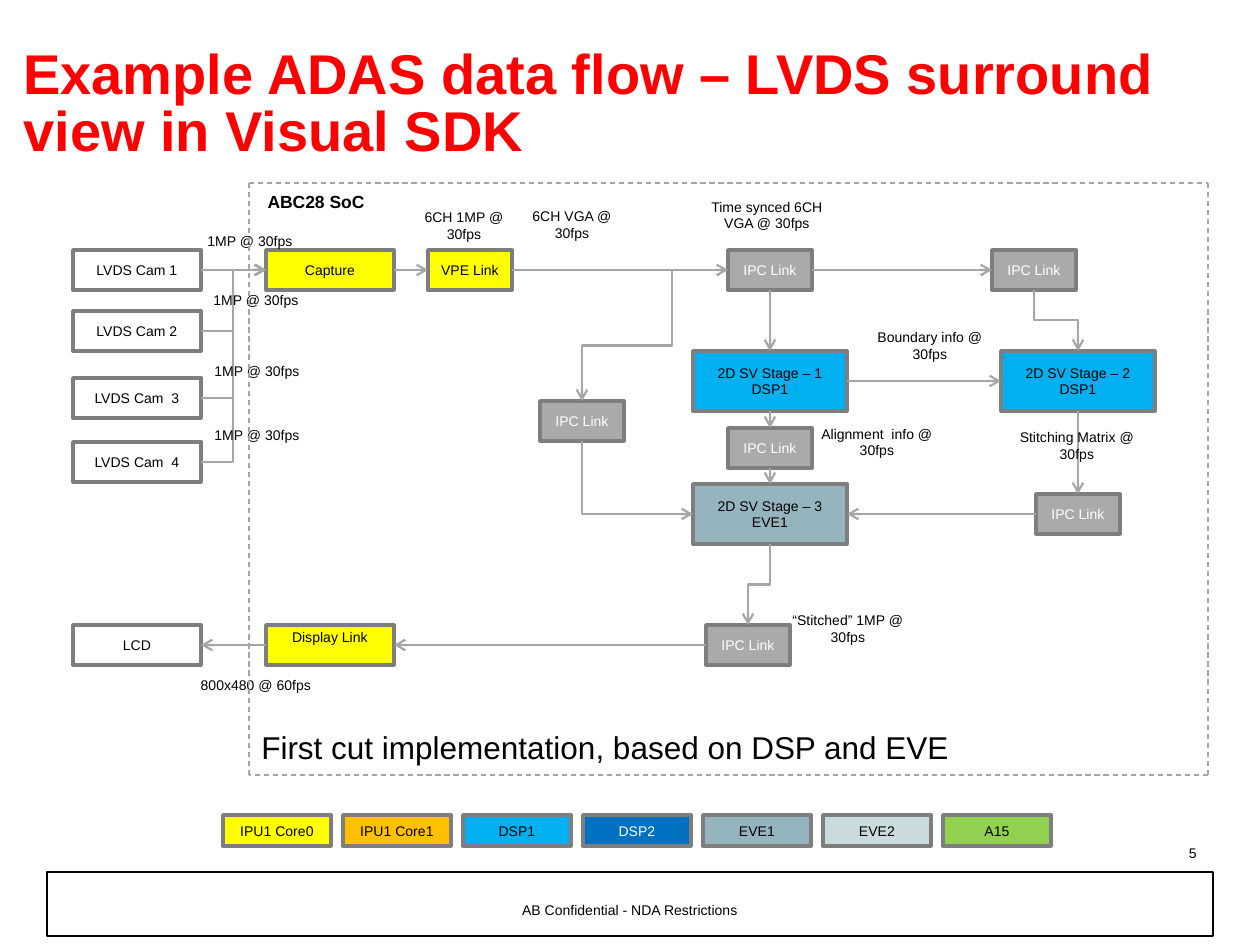
import pptx
import pptx.dml.color
import pptx.enum.dml
import pptx.enum.shapes
import pptx.enum.text
import pptx.oxml
import pptx.oxml.ns
import pptx.util

PX = 914400 // 126
ALIGN = pptx.enum.text.PP_ALIGN
ANCHOR = pptx.enum.text.MSO_ANCHOR
CONNECTOR = pptx.enum.shapes.MSO_CONNECTOR
TOP, LEFT, BOTTOM, RIGHT = range(4)
BLACK, WHITE, RED = "000000", "FFFFFF", "FF0000"
YELLOW, CYAN, SLATE, GRAY = "FFFF00", "00B0F0", "96B4BE", "AAAAAA"
BORDER, WIRE = "7E7E7E", "A6A6A6"
BOX_HEIGHT = 40


def px(*lengths):
    return [pptx.util.Emu(length * PX) for length in lengths]


def rgb(color):
    return pptx.dml.color.RGBColor.from_string(color)


def write(shape, text, size, color=BLACK, bold=False, align=ALIGN.CENTER,
          anchor=ANCHOR.MIDDLE, spacing=None):
    frame = shape.text_frame
    frame.word_wrap = True
    frame.vertical_anchor = anchor
    frame.text = text
    for paragraph in frame.paragraphs:
        paragraph.alignment = align
        paragraph.line_spacing = spacing
        paragraph.font.name = "Arial"
        paragraph.font.size = pptx.util.Pt(size)
        paragraph.font.bold = bold
        paragraph.font.color.rgb = rgb(color)


def add_text(slide, left, top, width, height, text, size, **style):
    shape = slide.shapes.add_textbox(*px(left, top, width, height))
    write(shape, text, size, **style)
    return shape


def add_label(slide, center, top, text, width=128, height=17, size=8, bold=False):
    """Caption without insets, centred on a given x."""
    shape = add_text(slide, center - width // 2, top, width, height, text, size, bold=bold)
    frame = shape.text_frame
    frame.margin_left = frame.margin_right = frame.margin_top = frame.margin_bottom = 0


def add_box(slide, left, top, width, height, text, fill, color=BLACK):
    shape = slide.shapes.add_shape(
        pptx.enum.shapes.MSO_SHAPE.RECTANGLE, *px(left, top, width, height))
    shape.shadow.inherit = False
    shape.fill.solid()
    shape.fill.fore_color.rgb = rgb(fill)
    shape.line.color.rgb = rgb(BORDER)
    shape.line.width = pptx.util.Pt(2)
    shape.text_frame.margin_left = shape.text_frame.margin_right = 0
    write(shape, text, 8, color)
    return shape


def add_ipc(slide, left, top):
    return add_box(slide, left, top, 84, BOX_HEIGHT, "IPC Link", GRAY, WHITE)


def add_stage(slide, left, top, text, fill):
    return add_box(slide, left, top, 154, 60, text, fill)


def add_device(slide, left, top, text, fill=WHITE):
    return add_box(slide, left, top, 128, BOX_HEIGHT, text, fill)


def site(shape, side):
    """Middle of one side of a box."""
    x = shape.left + {LEFT: 0, RIGHT: shape.width}.get(side, shape.width // 2)
    y = shape.top + {TOP: 0, BOTTOM: shape.height}.get(side, shape.height // 2)
    return x, y


def add_wire(slide, kind, start, end, width=1.25, arrow=True):
    connector = slide.shapes.add_connector(kind, *start, *end)
    connector.line.color.rgb = rgb(WIRE)
    connector.line.width = pptx.util.Pt(width)
    if arrow:
        line = connector.line._get_or_add_ln()
        line.append(pptx.oxml.parse_xml(
            f'<a:tailEnd {pptx.oxml.ns.nsdecls("a")} type="arrow"/>'))
    connector.element.spPr.append(pptx.oxml.parse_xml(
        f'<a:effectLst {pptx.oxml.ns.nsdecls("a")}/>'))
    return connector


def add_arrow(slide, source, source_side, target, target_side):
    arrow = add_wire(slide, CONNECTOR.STRAIGHT,
                     site(source, source_side), site(target, target_side))
    arrow.begin_connect(source, source_side)
    arrow.end_connect(target, target_side)


def set_preset(connector, preset, adjustments=()):
    geometry = connector.element.spPr.find(pptx.oxml.ns.qn("a:prstGeom"))
    geometry.set("prst", preset)
    guides = geometry.get_or_add_avLst()
    for number, value in enumerate(adjustments, 1):
        guides.append(pptx.oxml.parse_xml(
            f'<a:gd {pptx.oxml.ns.nsdecls("a")} name="adj{number}" fmla="val {value}"/>'))


def add_downward_elbow(slide, start, end, preset="bentConnector3"):
    """Elbow that leaves downwards: a turned connector with swapped sides."""
    connector = add_wire(slide, CONNECTOR.ELBOW, start, end)
    set_preset(connector, preset)
    run, drop = abs(end[0] - start[0]), end[1] - start[1]
    connector.left = (start[0] + end[0] - drop) // 2
    connector.top = (start[1] + end[1] - run) // 2
    connector.width, connector.height = drop, run
    to_right = end[0] > start[0]
    transform = connector.element.spPr.xfrm
    transform.set("rot", str((270 if to_right else 90) * 60000))
    transform.set("flipH", "1" if to_right else "0")


def add_page_text(slide):
    add_text(slide, 11, 15, 1201, 181,
             "Example ADAS data flow – LVDS surround view in Visual SDK", 32,
             color=RED, bold=True, align=ALIGN.LEFT, spacing=0.85)
    add_text(slide, 249, 722, 963, 50, "First cut implementation, based on DSP and EVE",
             18, align=ALIGN.LEFT, anchor=ANCHOR.TOP)
    add_text(slide, 915, 838, 294, 29, "5", 8, align=ALIGN.RIGHT, anchor=ANCHOR.TOP)
    footer = slide.shapes.add_shape(
        pptx.enum.shapes.MSO_SHAPE.RECTANGLE, *px(47, 872, 1166, 64))
    footer.shadow.inherit = False
    footer.fill.background()
    footer.line.color.rgb = rgb(BLACK)
    footer.line.width = pptx.util.Pt(0.75)
    add_text(slide, 344, 895, 572, 34, "AB Confidential - NDA Restrictions", 8,
             anchor=ANCHOR.TOP)


def add_flow(slide):
    # Devices and processing links
    cameras = [add_device(slide, 73, top, text) for top, text in (
        (250, "LVDS Cam 1"), (311, "LVDS Cam 2"), (378, "LVDS Cam  3"), (442, "LVDS Cam  4"))]
    capture = add_device(slide, 266, 250, "Capture", YELLOW)
    vpe = add_box(slide, 428, 250, 84, BOX_HEIGHT, "VPE Link", YELLOW)
    lcd = add_device(slide, 73, 625, "LCD")
    display = add_device(slide, 266, 625, "Display Link", YELLOW)
    display.text_frame.margin_top, display.text_frame.margin_bottom = px(0, 16)
    stage1 = add_stage(slide, 693, 351, "2D SV Stage – 1\nDSP1", CYAN)
    stage2 = add_stage(slide, 1001, 351, "2D SV Stage – 2\nDSP1", CYAN)
    stage3 = add_stage(slide, 693, 484, "2D SV Stage – 3\nEVE1", SLATE)
    ipc_sync, ipc_stage2, ipc_vga, ipc_align, ipc_matrix, ipc_out = [
        add_ipc(slide, left, top) for left, top in (
            (728, 250), (992, 250), (540, 401), (728, 428), (1036, 494), (706, 625))]

    # Straight arrows
    for ends in (
            (cameras[0], RIGHT, capture, LEFT), (capture, RIGHT, vpe, LEFT),
            (vpe, RIGHT, ipc_sync, LEFT), (ipc_sync, RIGHT, ipc_stage2, LEFT),
            (ipc_sync, BOTTOM, stage1, TOP), (stage1, RIGHT, stage2, LEFT),
            (stage1, BOTTOM, ipc_align, TOP), (ipc_align, BOTTOM, stage3, TOP),
            (stage2, BOTTOM, ipc_matrix, TOP), (ipc_matrix, LEFT, stage3, RIGHT),
            (ipc_out, LEFT, display, RIGHT), (display, LEFT, lcd, RIGHT)):
        add_arrow(slide, *ends)

    # Elbow arrows
    for camera in cameras[1:]:
        add_wire(slide, CONNECTOR.ELBOW, site(camera, RIGHT), site(capture, LEFT))
    branch = add_wire(slide, CONNECTOR.ELBOW, px(641, 270), site(ipc_vga, TOP))
    set_preset(branch, "bentConnector4", (-53300, 57700))
    add_downward_elbow(slide, site(ipc_vga, BOTTOM), site(stage3, LEFT), "bentConnector2")
    add_downward_elbow(slide, site(ipc_stage2, BOTTOM), site(stage2, TOP))
    add_downward_elbow(slide, site(stage3, BOTTOM), site(ipc_out, TOP))


def add_labels(slide):
    for center, top in ((250, 232), (256, 291), (257, 362), (257, 426)):
        add_label(slide, center, top, "1MP @ 30fps")
    add_label(slide, 256, 676, "800x480 @ 60fps")
    add_label(slide, 316, 191, "ABC28 SoC", height=21, size=10, bold=True)
    for center, top, text, width in (
            (464, 208, "6CH 1MP @ 30fps", 108), (572, 207, "6CH VGA @ 30fps", 108),
            (767, 198, "Time synced 6CH VGA @ 30fps", 128),
            (930, 328, "Boundary info @ 30fps", 128),
            (877, 425, "Alignment  info @ 30fps", 128),
            (1077, 428, "Stitching Matrix @ 30fps", 128),
            (848, 611, "“Stitched” 1MP @ 30fps", 128)):
        add_label(slide, center, top, text, width, 34)


def add_legend(slide):
    cores = (("IPU1 Core0", YELLOW, BLACK), ("IPU1 Core1", "FFC000", BLACK),
             ("DSP1", CYAN, BLACK), ("DSP2", "0070C0", WHITE), ("EVE1", SLATE, BLACK),
             ("EVE2", "C9DBDD", BLACK), ("A15", "92D050", BLACK))
    for index, (text, fill, color) in enumerate(cores):
        add_box(slide, 223 + 120 * index, 815, 108, 31, text, fill, color)


def add_frame(slide):
    corners = [px(249, 183), px(1208, 183), px(1208, 775), px(249, 775)]
    for start, end in zip(corners, corners[1:] + corners[:1]):
        edge = add_wire(slide, CONNECTOR.STRAIGHT, start, end, 0.75, arrow=False)
        edge.line.dash_style = pptx.enum.dml.MSO_LINE.DASH


def main():
    presentation = pptx.Presentation()
    presentation.slide_width, presentation.slide_height = px(1260, 945)
    slide = presentation.slides.add_slide(presentation.slide_layouts[6])
    add_page_text(slide)
    add_flow(slide)
    add_labels(slide)
    add_legend(slide)
    add_frame(slide)
    presentation.save("out.pptx")


if __name__ == "__main__":
    main()
